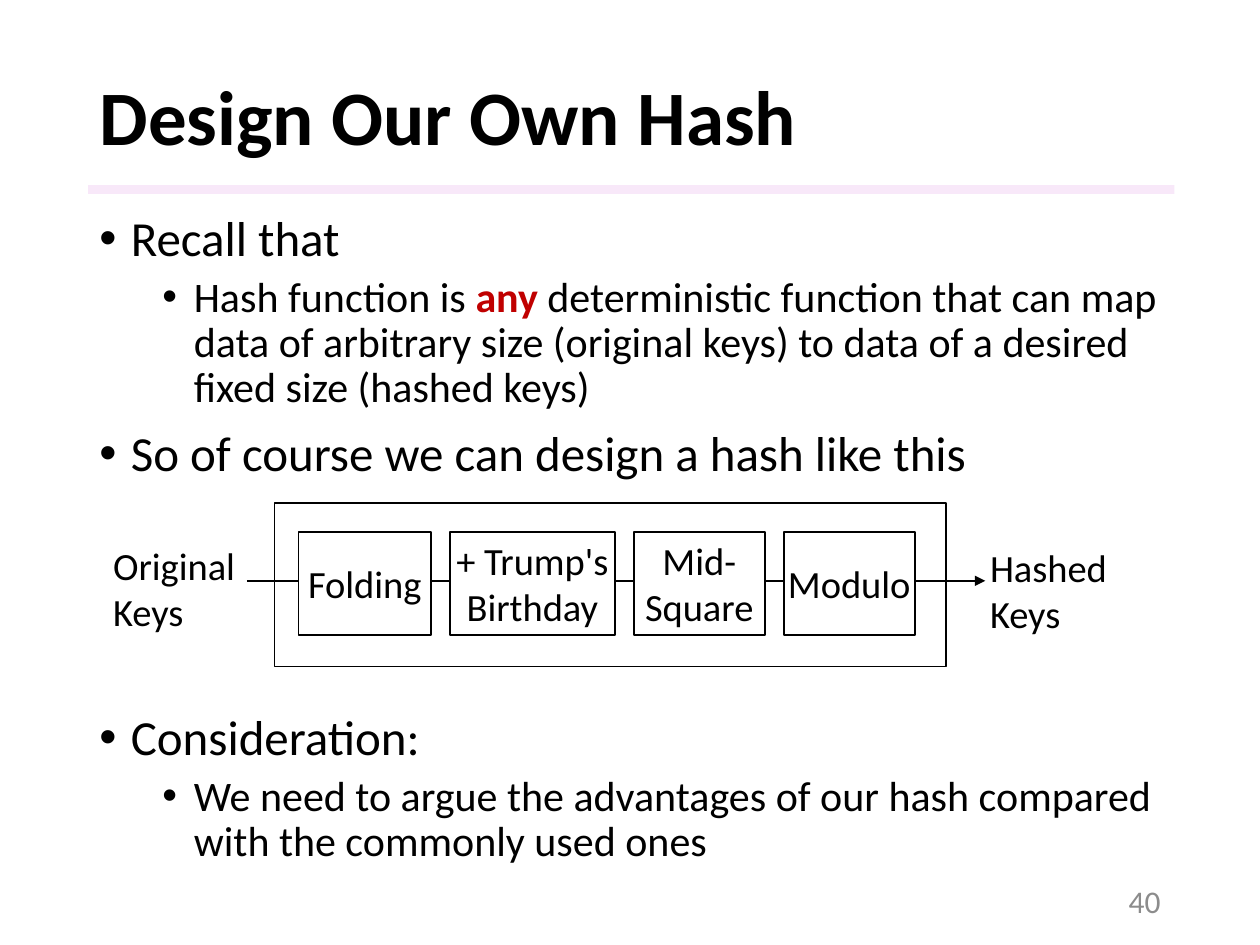
from dataclasses import dataclass

from lxml import etree
from pptx import Presentation
from pptx import util as u
from pptx.dml import color
from pptx.enum import shapes, text
from pptx.oxml import ns


@dataclass(frozen=True)
class Theme:
    """Font, colours and type sizes of the deck."""
    font: str = "Calibri"
    ink: str = "000000"
    paper: str = "FFFFFF"
    accent: str = "C00000"
    band: str = "F3D2F4"
    muted: str = "8C8C8C"
    title: int = 44
    point: int = 28
    detail: int = 24
    label: int = 22
    number: int = 18


THEME = Theme()
COLUMNS, ROWS = 100, 75
WIDTH, HEIGHT = u.Inches(10), u.Inches(7.5)
LEFT, SPAN = 6.9, 86.2
STAGE_LEFT, STAGE_GAP, STAGE_TOP, STAGE_HEIGHT = 23.7, 1.5, 42.2, 8.2
STAGES = (("Folding", 10.5), ("+ Trump's Birthday", 13.1),
          ("Mid-Square", 10.4), ("Modulo", 10.4))
POINTS = (
    (0, 0, (("Recall that", False),)),
    (1, 5, (("Hash function is ", False), ("any ", True),
            ("deterministic function that can map data of arbitrary size "
             "(original keys) to data of a desired fixed size (hashed keys)", False))),
    (0, 10, (("So of course we can design a hash like this", False),)),
    (0, 132, (("Consideration:", False),)),
    (1, 5, (("We need to argue the advantages of our hash compared "
             "with the commonly used ones", False),)),
)


def grid(*cells):
    """Turn alternating column and row counts into lengths."""
    units = (WIDTH / COLUMNS, HEIGHT / ROWS)
    return [u.Emu(round(cell * units[i % 2])) for i, cell in enumerate(cells)]


def assign(target, values):
    """Set every attribute named in a dict."""
    for name, value in values.items():
        setattr(target, name, value)


def style(item, size, ink=THEME.ink, bold=False):
    """Format the font of a paragraph or span."""
    assign(item.font, {"name": THEME.font, "size": u.Pt(size), "bold": bold})
    item.font.color.rgb = color.RGBColor.from_string(ink)


def write(shape, words, size, align, frame_format, ink=THEME.ink, bold=False):
    """Fill a shape with one formatted paragraph."""
    frame = shape.text_frame
    assign(frame, {"word_wrap": True, "auto_size": text.MSO_AUTO_SIZE.NONE, **frame_format})
    para = frame.paragraphs[0]
    assign(para, {"text": words, "alignment": align})
    for span in para.runs:
        style(span, size, ink, bold)
    return para


def add_label(page, cells, words, size=THEME.label, align=text.PP_ALIGN.LEFT,
              anchor=text.MSO_ANCHOR.TOP, ink=THEME.ink):
    """Add a plain text box."""
    box = page.shapes.add_textbox(*grid(*cells))
    write(box, words, size, align, {"vertical_anchor": anchor}, ink)


def add_rectangle(page, cells, fill=None, line=None):
    """Add a flat rectangle with optional fill and outline."""
    box = page.shapes.add_shape(shapes.MSO_SHAPE.RECTANGLE, *grid(*cells))
    box.shadow.inherit = False
    if fill:
        box.fill.solid()
        box.fill.fore_color.rgb = color.RGBColor.from_string(fill)
    else:
        box.fill.background()
    if line:
        box.line.color.rgb = color.RGBColor.from_string(line)
        box.line.width = u.Pt(1)
    else:
        box.line.fill.background()
    return box


def add_band(page):
    """Add the translucent band below the title."""
    band = add_rectangle(page, (7, 14.7, SPAN, 0.7), THEME.band)
    tint = band.fill._xPr.find(".//" + ns.qn("a:srgbClr"))
    etree.SubElement(tint, ns.qn("a:alpha")).set("val", "50000")


def add_title(page, words):
    """Place and format the title placeholder."""
    title = page.shapes.title
    left, top, width, height = grid(LEFT, 4, SPAN, 11.1)
    assign(title, {"left": left, "top": top, "width": width, "height": height})
    para = write(title, words, THEME.title, text.PP_ALIGN.LEFT,
                 {"vertical_anchor": text.MSO_ANCHOR.MIDDLE}, bold=True)
    para.line_spacing = 0.9


def add_bullet(para, level):
    """Give a paragraph a hanging bullet for its level."""
    props = para._p.get_or_add_pPr()
    props.set("marL", str(u.Inches(0.25 + 0.5 * level)))
    props.set("indent", str(u.Inches(-0.25)))
    etree.SubElement(props, ns.qn("a:buFont")).set("typeface", "Arial")
    etree.SubElement(props, ns.qn("a:buChar")).set("char", "•")


def add_points(page):
    """Add the two-level bullet list."""
    frame = page.shapes.add_textbox(*grid(LEFT, 16.5, SPAN, 55.8)).text_frame
    frame.word_wrap = True
    for index, (level, gap, spans) in enumerate(POINTS):
        para = frame.add_paragraph() if index else frame.paragraphs[0]
        add_bullet(para, level)
        assign(para, {"level": level, "line_spacing": 0.9, "space_before": u.Pt(gap)})
        for words, strong in spans:
            span = para.add_run()
            span.text = words
            style(span, THEME.detail if level else THEME.point,
                  THEME.accent if strong else THEME.ink, strong)


def add_arrow(page, start, end):
    """Add a straight arrow between two grid points."""
    arrow = page.shapes.add_connector(shapes.MSO_CONNECTOR.STRAIGHT, *grid(*start, *end))
    arrow.line.color.rgb = color.RGBColor.from_string(THEME.ink)
    arrow.line.width = u.Pt(1.5)
    etree.SubElement(arrow.line._get_or_add_ln(), ns.qn("a:tailEnd")).set("type", "triangle")
    etree.SubElement(arrow._element.spPr, ns.qn("a:effectLst"))


def add_pipeline(page):
    """Add the hash pipeline with its stages, input and output."""
    add_rectangle(page, (21.8, 39.9, 53.3, 13), line=THEME.ink)
    add_arrow(page, (19.6, 46.1), (78.2, 46.1))
    left = STAGE_LEFT
    for words, width in STAGES:
        stage = add_rectangle(page, (left, STAGE_TOP, width, STAGE_HEIGHT),
                              THEME.paper, THEME.ink)
        write(stage, words, THEME.label, text.PP_ALIGN.CENTER,
              {"vertical_anchor": text.MSO_ANCHOR.MIDDLE,
               "margin_left": 0, "margin_right": 0})
        left += width + STAGE_GAP
    add_label(page, (8, 42.5, 13, 8.4), "Original Keys")
    add_label(page, (77.6, 42.7, 12.4, 8.4), "Hashed\vKeys")


def main():
    """Build and save the slide."""
    deck = Presentation()
    assign(deck, {"slide_width": WIDTH, "slide_height": HEIGHT})
    page = deck.slides.add_slide(deck.slide_layouts[5])
    add_band(page)
    add_title(page, "Design Our Own Hash")
    add_points(page)
    add_label(page, (70.6, 69.5, 22.5, 4), "40", THEME.number,
              text.PP_ALIGN.RIGHT, text.MSO_ANCHOR.MIDDLE, THEME.muted)
    add_pipeline(page)
    deck.save("out.pptx")


if __name__ == "__main__":
    main()
